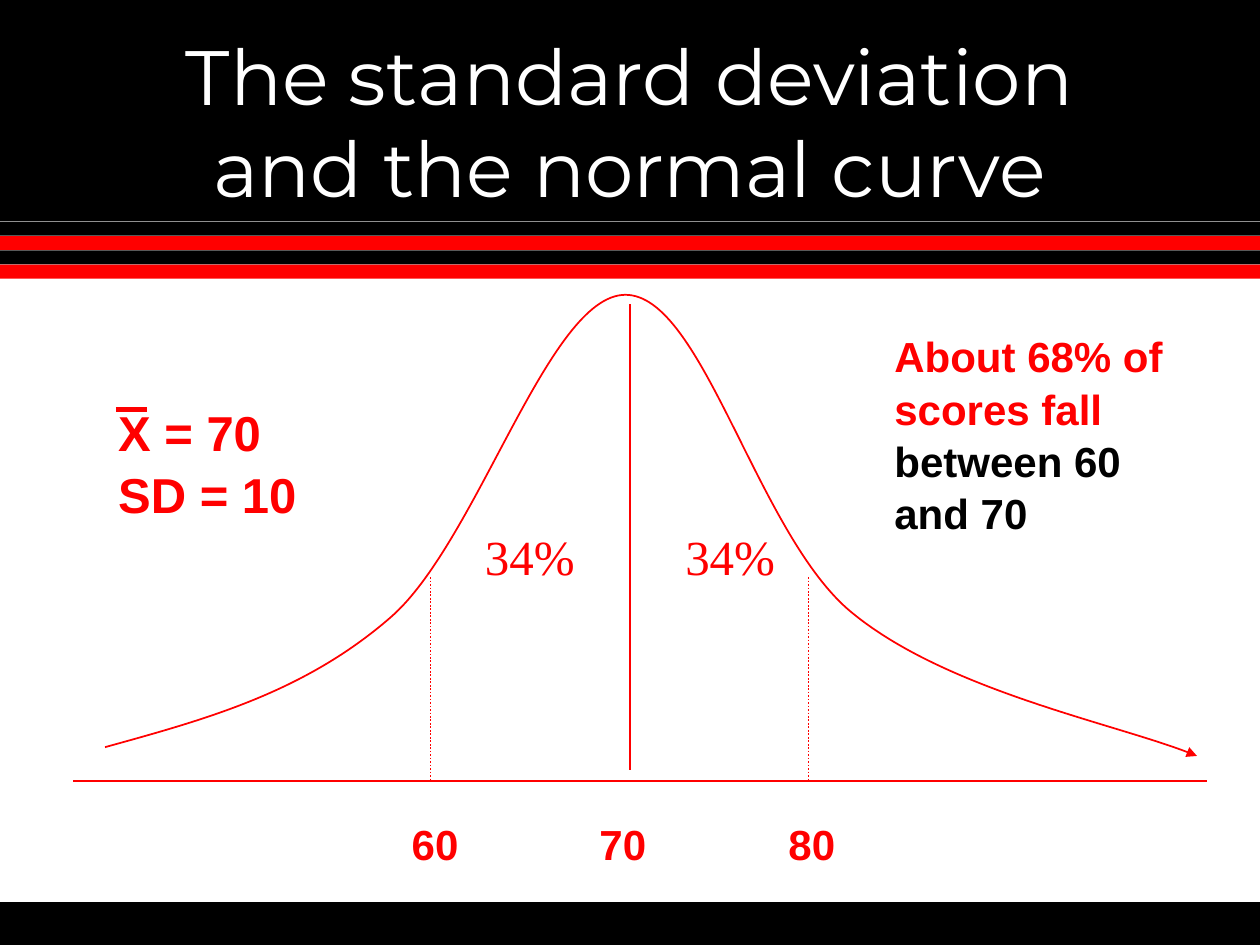
from typing import NamedTuple

from lxml.etree import SubElement
from pptx import Presentation
from pptx.dml.color import RGBColor
from pptx.enum.dml import MSO_LINE
from pptx.enum.shapes import MSO_CONNECTOR, MSO_SHAPE
from pptx.enum.text import MSO_ANCHOR, MSO_AUTO_SIZE, PP_ALIGN
from pptx.oxml.ns import qn
from pptx.util import Pt

RED, BLACK, WHITE, GREY = "FF0000", "000000", "FFFFFF", "969696"
SLIDE_W, SLIDE_H = 720, 540
AXIS_Y = 446.4


class Band(NamedTuple):
    top: float
    height: float
    color: str


class Line(NamedTuple):
    x1: float
    y1: float
    x2: float
    y2: float
    width: float = 1
    dotted: bool = False


class Label(NamedTuple):
    left: float
    top: float
    width: float
    height: float
    lines: list[tuple[str, str]]  # text and colour of each paragraph
    size: float = 24
    font: str = "Arial"
    bold: bool = True
    wrap: bool = False


def rgb(color: str) -> RGBColor:
    return RGBColor.from_string(color)


def add_run(paragraph, text: str, size: float, font: str, color: str, bold: bool = False) -> None:
    run = paragraph.add_run()
    run.text = text
    run.font.size = Pt(size)
    run.font.name = font
    run.font.bold = bold
    run.font.color.rgb = rgb(color)


def draw_band(shapes, band: Band) -> None:
    bar = shapes.add_shape(MSO_SHAPE.RECTANGLE, 0, Pt(band.top), Pt(SLIDE_W), Pt(band.height))
    bar.shadow.inherit = False
    bar.fill.solid()
    bar.fill.fore_color.rgb = rgb(band.color)
    bar.line.fill.background()


def draw_line(shapes, line: Line) -> None:
    rule = shapes.add_connector(
        MSO_CONNECTOR.STRAIGHT, Pt(line.x1), Pt(line.y1), Pt(line.x2), Pt(line.y2))
    rule.line.color.rgb = rgb(RED)
    rule.line.width = Pt(line.width)
    if line.dotted:
        rule.line.dash_style = MSO_LINE.ROUND_DOT
    SubElement(rule.element.spPr, qn("a:effectLst"))


def draw_label(shapes, label: Label) -> None:
    box = shapes.add_textbox(Pt(label.left), Pt(label.top), Pt(label.width), Pt(label.height))
    frame = box.text_frame
    frame.word_wrap = label.wrap
    for index, (text, color) in enumerate(label.lines):
        paragraph = frame.add_paragraph() if index else frame.paragraphs[0]
        paragraph.line_spacing = 1.04
        add_run(paragraph, text, label.size, label.font, color, label.bold)


def draw_curve(shapes, points: list[tuple[float, float]]) -> None:
    """Draw a start point followed by Bezier triples, with an arrowhead at the end."""
    start, *rest = [(Pt(x), Pt(y)) for x, y in points]
    builder = shapes.build_freeform(*start)
    builder.add_line_segments(rest, close=False)
    curve = builder.convert_to_shape()
    curve.shadow.inherit = False
    curve.fill.background()
    curve.line.color.rgb = rgb(RED)
    curve.line.width = Pt(1)
    # Turn each three straight segments into one cubic segment
    path = curve.element.find(".//" + qn("a:path"))
    segments = path.findall(qn("a:lnTo"))
    for first in range(0, len(segments), 3):
        cubic = SubElement(path, qn("a:cubicBezTo"))
        for segment in segments[first:first + 3]:
            cubic.append(segment[0])
            path.remove(segment)
    outline = curve.element.spPr.find(qn("a:ln"))
    SubElement(outline, qn("a:tailEnd"), type="triangle", w="med", len="med")


BANDS = [
    Band(108, 432, WHITE),
    Band(515.5, 24.5, BLACK),
    Band(0, 126.4, BLACK),
    *(Band(126.7 + 8.2 * step, 8, RED if step % 2 else BLACK) for step in range(4)),
]

LINES = [
    Line(41.8, AXIS_Y, 689.8, AXIS_Y),               # score axis
    Line(360, 174, 360, 440),                        # mean
    Line(66.2, 234, 84.2, 234, width=3),             # bar over X
    *(Line(x, 329.8, x, AXIS_Y, dotted=True) for x in (246, 462)),  # one SD either side
]

LABELS = [
    Label(504, 184.3, 174.2, 122.4, wrap=True, lines=[
        ("About 68% of", RED), ("scores fall", RED), ("between 60 and 70", BLACK)]),
    Label(60.5, 225.4, 116, 74.9, [("X = 70", RED), ("SD = 10", RED)], size=28),
    *(Label(x, 463, 41, 36, [(score, RED)])
      for x, score in ((228.2, "60"), (335.5, "70"), (443.5, "80"))),
    *(Label(x, 296, 65.5, 41, [("34%", RED)], 28, "Times New Roman", False)
      for x in (270, 384.5)),
]

BELL = [
    (60, 427),
    (117.4, 411.1), (173.5, 396), (223.2, 352.8),
    (272.9, 309.6), (313.2, 169.2), (357.1, 168.5),
    (401.8, 167.8), (432.7, 306.7), (487.4, 350.6),
    (541.4, 394.6), (643, 414.7), (684, 432),
]


def main() -> None:
    deck = Presentation()
    deck.slide_width, deck.slide_height = Pt(SLIDE_W), Pt(SLIDE_H)
    slide = deck.slides.add_slide(deck.slide_layouts.get_by_name("Title Only"))
    shapes = slide.shapes
    slide.background.fill.solid()
    slide.background.fill.fore_color.rgb = rgb(GREY)

    # Header and footer bands
    for band in BANDS:
        draw_band(shapes, band)

    # Title, brought in front of the bands
    title = shapes.title
    title.element.getparent().append(title.element)
    title.left, title.top, title.width, title.height = Pt(54), Pt(24), Pt(612), Pt(90)
    heading = title.text_frame
    heading.auto_size = MSO_AUTO_SIZE.NONE
    heading.vertical_anchor = MSO_ANCHOR.MIDDLE
    heading.paragraphs[0].alignment = PP_ALIGN.CENTER
    add_run(heading.paragraphs[0], "The standard deviation and the normal curve",
            44, "Montserrat", WHITE)

    # Normal curve with its axis and labels
    for line in LINES:
        draw_line(shapes, line)
    for label in LABELS:
        draw_label(shapes, label)
    draw_curve(shapes, BELL)

    deck.save("out.pptx")


if __name__ == "__main__":
    main()
